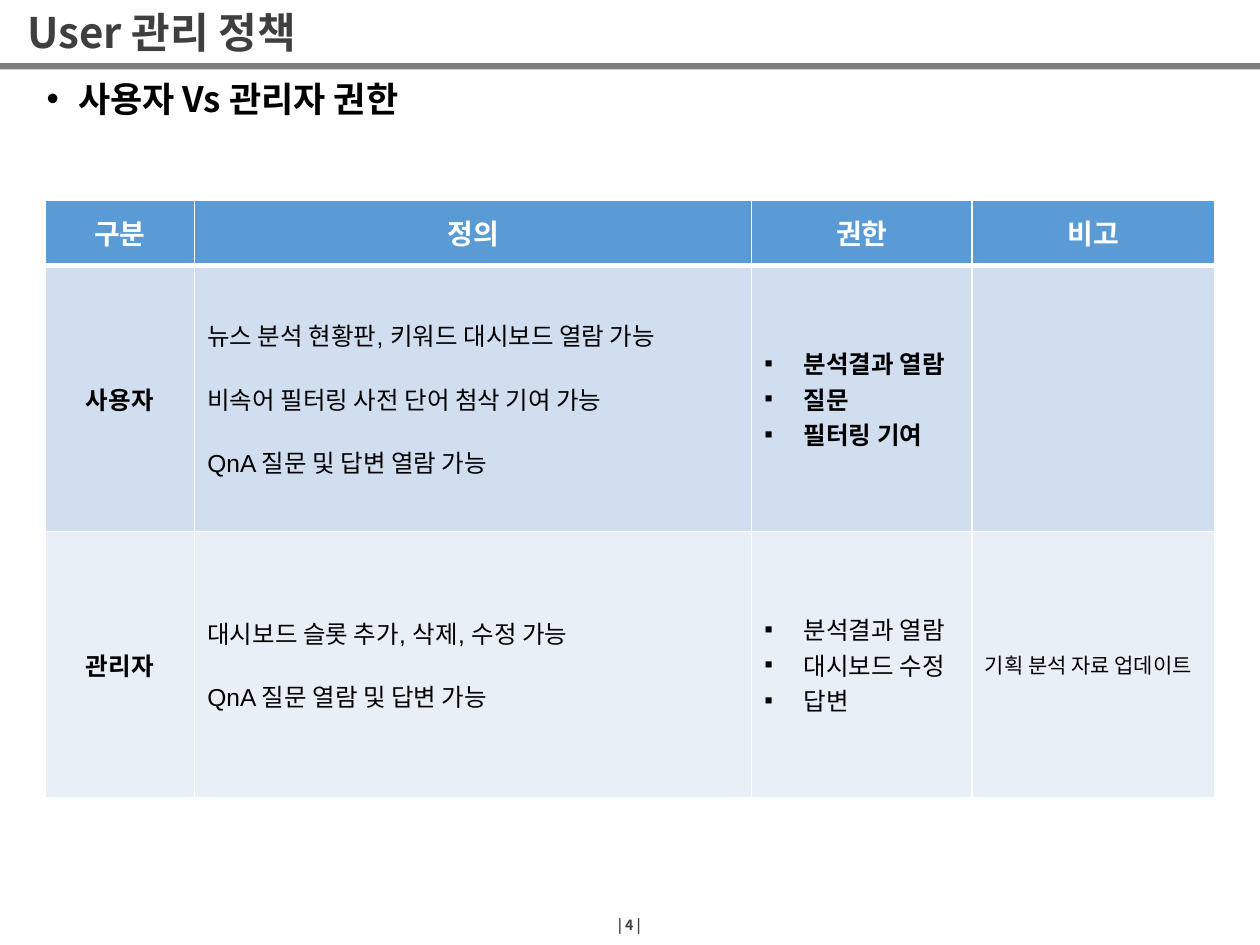
import pptx
import pptx.dml.color
import pptx.enum.shapes
import pptx.enum.text
import pptx.oxml
import pptx.oxml.ns
import pptx.util

Pt = pptx.util.Pt
ALIGN = pptx.enum.text.PP_ALIGN
MIDDLE = pptx.enum.text.MSO_ANCHOR.MIDDLE
HANGUL = "Noto Sans CJK KR"
NS = pptx.oxml.ns.nsdecls("a")
rgb = pptx.dml.color.RGBColor.from_string


def write(frame, lines, size, color="000000", bold=False, font=HANGUL,
          align=ALIGN.LEFT, bullet=None, indent=0, gap=0, spacing=None):
    """Fill a text frame with equally formatted paragraphs, gap points apart."""
    frame.text = "\n".join(lines)
    frame.word_wrap = True
    for index, paragraph in enumerate(frame.paragraphs):
        paragraph.alignment = align
        paragraph.line_spacing = spacing
        paragraph.space_before = Pt(gap if index else 0)
        paragraph.font.size = Pt(size)
        paragraph.font.bold = bold
        paragraph.font.name = font
        paragraph.font.color.rgb = rgb(color)
        properties = paragraph._p.pPr
        defaults = properties.find(pptx.oxml.ns.qn("a:defRPr"))
        defaults.append(pptx.oxml.parse_xml(f'<a:ea {NS} typeface="{HANGUL}"/>'))
        if bullet:
            properties.set("marL", str(Pt(indent)))
            properties.set("indent", str(-Pt(indent)))
            for xml in (f'<a:buClr {NS}><a:srgbClr val="000000"/></a:buClr>',
                        f'<a:buFont {NS} typeface="Arial"/>',
                        f'<a:buChar {NS} char="{bullet}"/>'):
                defaults.addprevious(pptx.oxml.parse_xml(xml))


def set_border(cell, side, width):
    cell._tc.get_or_add_tcPr().append(pptx.oxml.parse_xml(
        f'<a:ln{side} {NS} w="{Pt(width)}"><a:solidFill>'
        f'<a:srgbClr val="FFFFFF"/></a:solidFill></a:ln{side}>'))


deck = pptx.Presentation()
deck.slide_width, deck.slide_height = Pt(720), Pt(540)
slide = deck.slides.add_slide(deck.slide_layouts[1])

# Heading
title, topic = slide.placeholders
title.left, title.top, title.width, title.height = Pt(8.6), Pt(3.6), Pt(607), Pt(32.4)
topic.left, topic.top, topic.width, topic.height = Pt(19.4), Pt(43.2), Pt(680.4), Pt(33.8)
for heading in (title, topic):
    heading.text_frame.auto_size = pptx.enum.text.MSO_AUTO_SIZE.NONE
title.text_frame.vertical_anchor = MIDDLE
write(title.text_frame, ["User 관리 정책"], 24, "3F3F3F", bold=True, spacing=0.9)
write(topic.text_frame, ["사용자 Vs 관리자 권한"], 20, bold=True,
      bullet="•", indent=18, spacing=0.9)

rule = slide.shapes.add_shape(pptx.enum.shapes.MSO_SHAPE.RECTANGLE,
                              Pt(0), Pt(36), Pt(720), Pt(3.6))
rule.shadow.inherit = False
rule.fill.solid()
rule.fill.fore_color.rgb = rgb("7F7F7F")
rule.line.fill.background()

# Permission table
header = ["구분", "정의", "권한", "비고"]
roles = [
    ("사용자",
     ["뉴스 분석 현황판, 키워드 대시보드 열람 가능",
      "비속어 필터링 사전 단어 첨삭 기여 가능",
      "QnA 질문 및 답변 열람 가능"],
     ["분석결과 열람", "질문", "필터링 기여"], True, "", "D0DEEF"),
    ("관리자",
     ["대시보드 슬롯 추가, 삭제, 수정 가능",
      "QnA 질문 열람 및 답변 가능"],
     ["분석결과 열람", "대시보드 수정", "답변"], False,
     "기획 분석 자료 업데이트", "E9EFF7"),
]
column_widths = [85.7, 318.3, 126, 138.6]
row_heights = [37.4, 152, 152]
permissions = slide.shapes.add_table(
    len(row_heights), len(column_widths), Pt(25.6), Pt(114.3),
    Pt(sum(column_widths)), Pt(sum(row_heights))).table
permissions.horz_banding = False
for column, width in zip(permissions.columns, column_widths):
    column.width = Pt(width)
for row, height in zip(permissions.rows, row_heights):
    row.height = Pt(height)

row_fills = ["5B9BD5"] + [role[-1] for role in roles]
for row_index, (row, fill) in enumerate(zip(permissions.rows, row_fills)):
    for cell in row.cells:
        cell.vertical_anchor = MIDDLE
        for side in "LRTB":
            under_header = (row_index, side) in ((0, "B"), (1, "T"))
            set_border(cell, side, 3 if under_header else 1)
        cell.fill.solid()
        cell.fill.fore_color.rgb = rgb(fill)

for cell, label in zip(permissions.rows[0].cells, header):
    write(cell.text_frame, [label], 16, "FFFFFF", bold=True, font="Arial",
          align=ALIGN.CENTER)
for row_index, (role, definitions, rights, rights_bold, note, _) in enumerate(roles, 1):
    role_cell, definition_cell, rights_cell, note_cell = permissions.rows[row_index].cells
    write(role_cell.text_frame, [role], 14, bold=True, font="Arial", align=ALIGN.CENTER)
    write(definition_cell.text_frame, definitions, 14, font="Arial", gap=16)
    write(rights_cell.text_frame, rights, 14, bold=rights_bold, font="Arial",
          bullet="▪", indent=22.5)
    if note:
        write(note_cell.text_frame, [note], 12, font="Arial")

# Page number
page = slide.shapes.add_textbox(Pt(332), Pt(518.4), Pt(55.4), Pt(20.2)).text_frame
page.vertical_anchor = MIDDLE
write(page, ["| 4 |"], 8, "3F3F3F", bold=True, align=ALIGN.CENTER)

deck.save("out.pptx")
